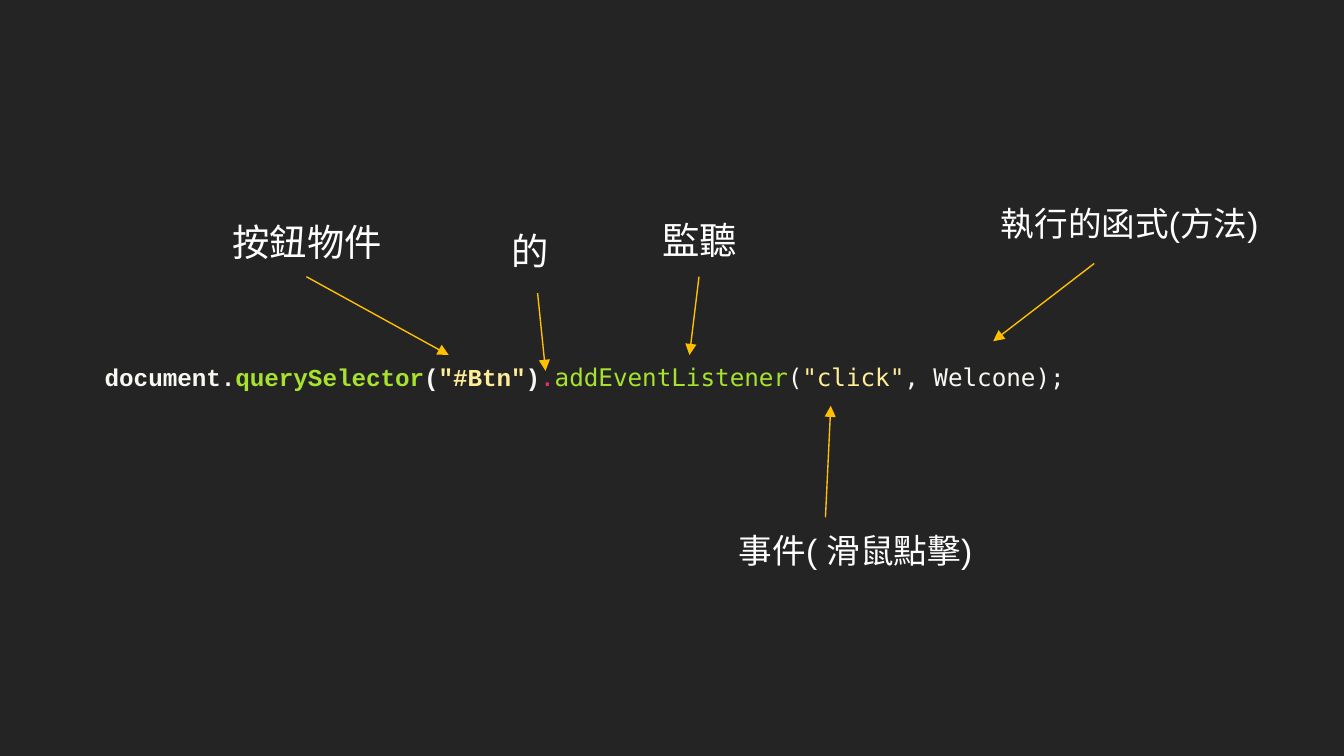
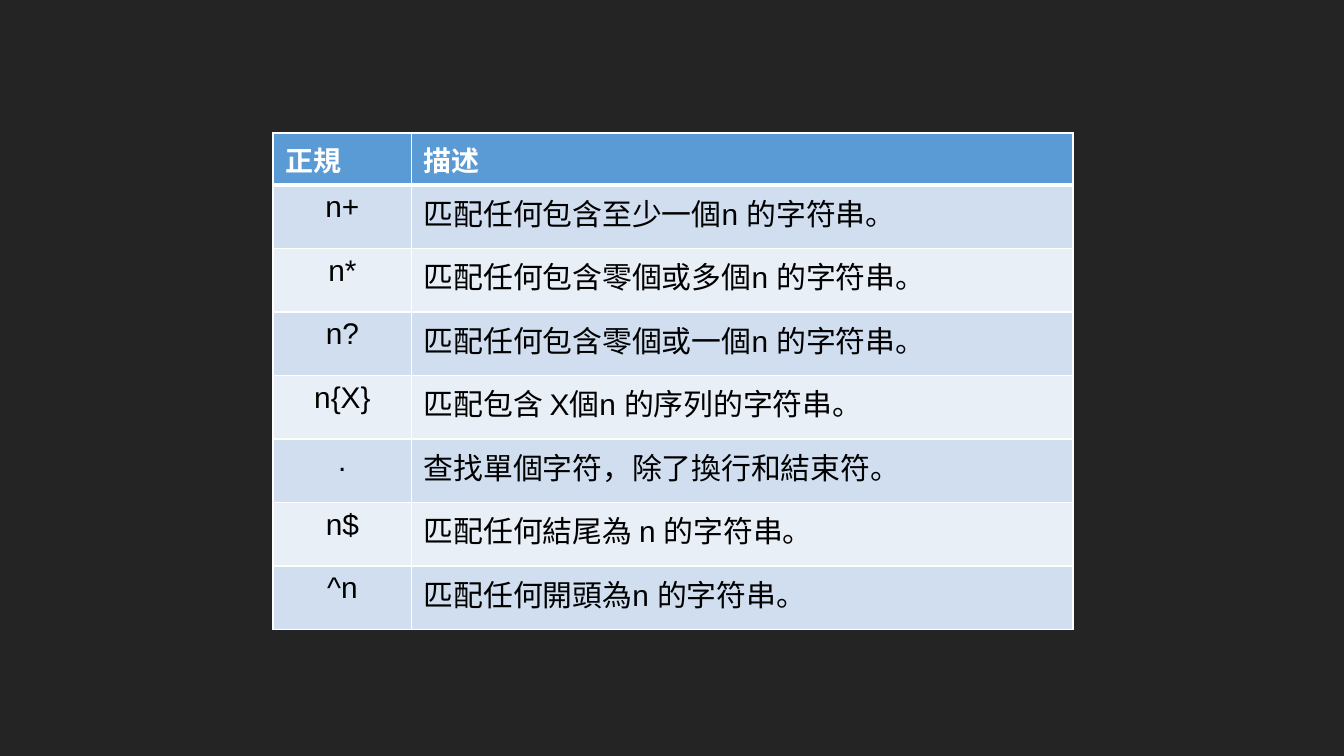
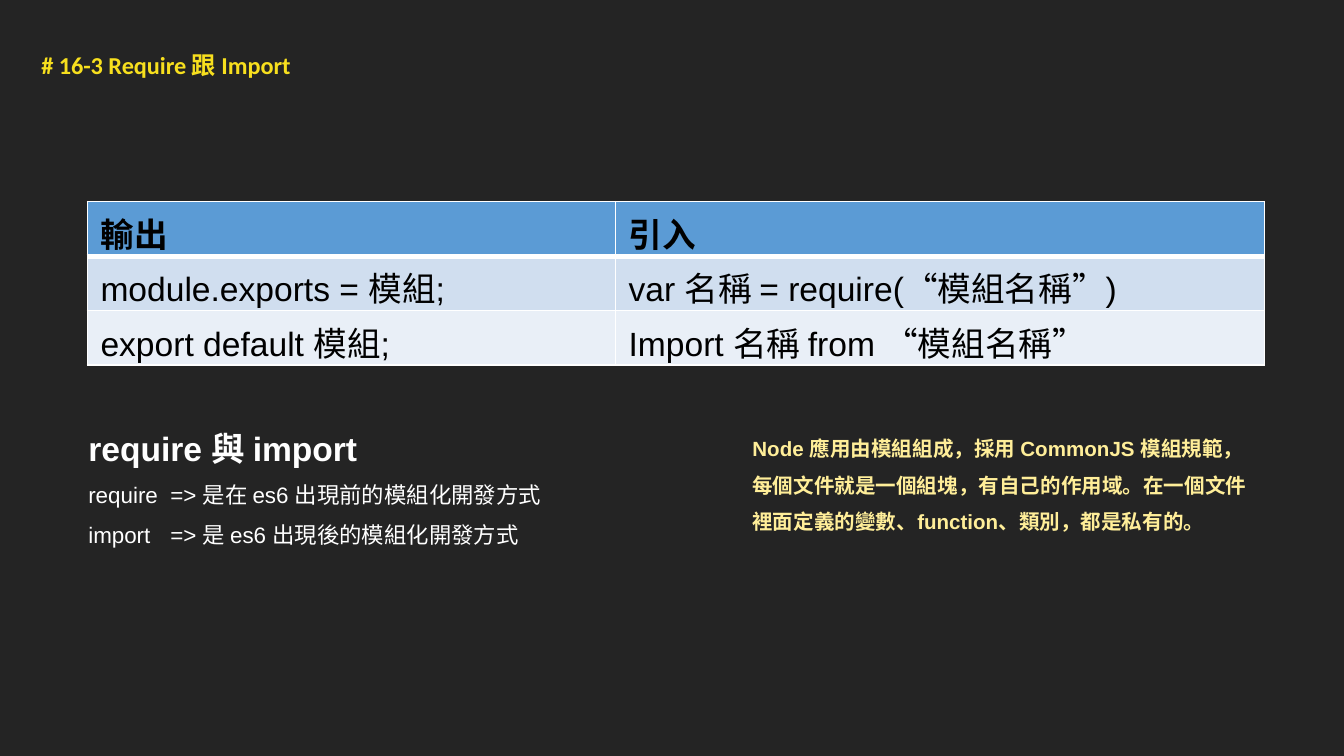
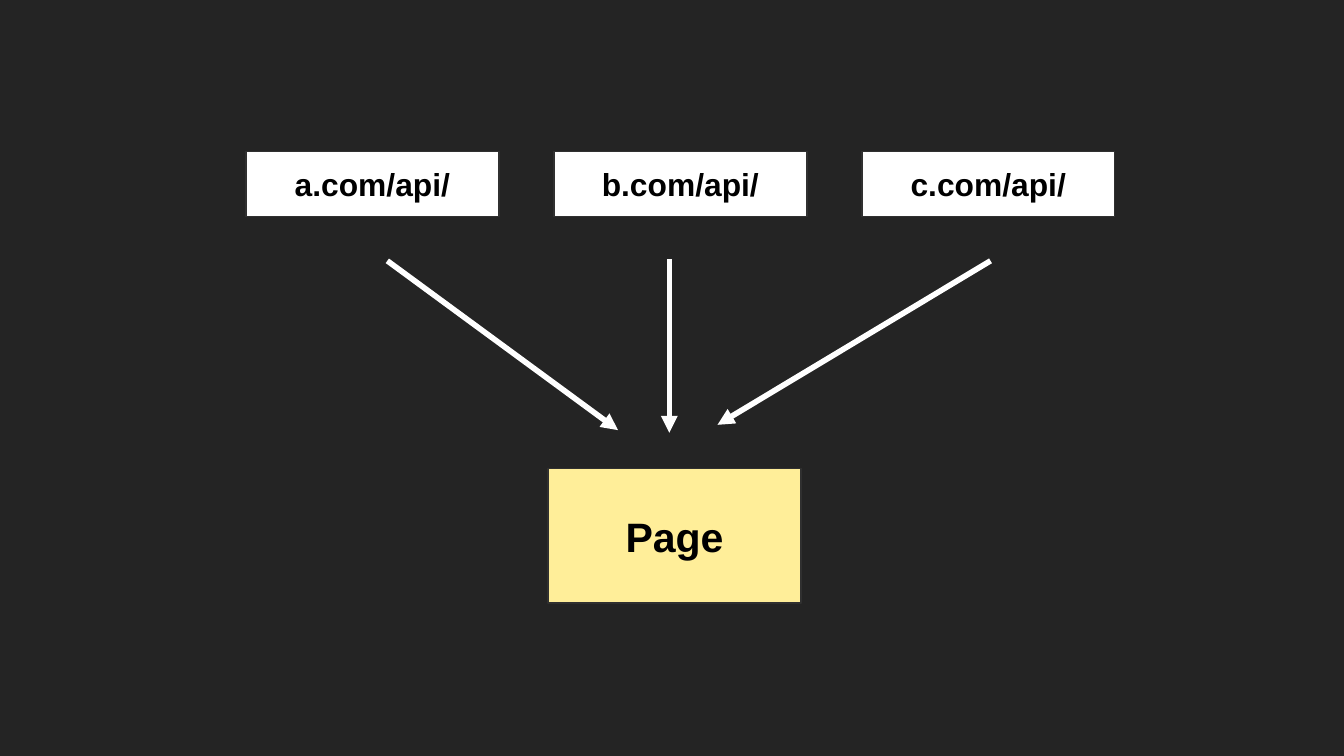
from dataclasses import dataclass
from typing import NamedTuple, Optional

from lxml import etree
from pptx import Presentation
from pptx import util as u
from pptx.dml.color import RGBColor
from pptx.enum import shapes, text
from pptx.oxml import ns

COLORS = {
    "background": "242424",
    "white": "FFFFFF",
    "black": "000000",
    "outline": "303030",
    "title": "F7DF1E",
    "arrow": "FFC000",
    "cream": "FFEE99",
    "code": "F8F8F2",
    "function": "A6E22E",
    "operator": "F92672",
    "header": "5B9BD5",
    "band_dark": "D0DEEF",
    "band_light": "E9EFF7",
}
BLANK, TITLE_ONLY = 6, 5
LEFT, CENTER = text.PP_ALIGN.LEFT, text.PP_ALIGN.CENTER
TOP, MIDDLE = text.MSO_ANCHOR.TOP, text.MSO_ANCHOR.MIDDLE


class Box(NamedTuple):
    """Position and size in centimetres."""
    left: float
    top: float
    width: float
    height: float

    def lengths(self):
        return [u.Cm(value) for value in self]


class Arrow(NamedTuple):
    """End points in centimetres."""
    start_x: float
    start_y: float
    end_x: float
    end_y: float


class CodeToken(NamedTuple):
    text: str
    color: str
    font: str
    bold: bool


@dataclass(frozen=True)
class Style:
    size: float
    color: str = "white"
    bold: bool = False
    font: str = "Arial"
    align: text.PP_ALIGN = LEFT
    spacing: Optional[float] = None


@dataclass(frozen=True)
class Label:
    text: str
    box: Box
    size: float


@dataclass(frozen=True)
class TableSpec:
    left: float
    top: float
    columns: tuple
    row_heights: tuple
    rows: tuple
    margins: tuple
    header: Style
    bodies: tuple


def rgb(name: str) -> RGBColor:
    return RGBColor.from_string(COLORS[name])


def format_run(run, style: Style) -> None:
    font = run.font
    font.size = u.Pt(style.size)
    font.name = style.font
    font.bold = style.bold
    font.color.rgb = rgb(style.color)


def format_paragraph(paragraph, style: Style) -> None:
    paragraph.alignment = style.align
    if style.spacing:
        paragraph.line_spacing = style.spacing
    for run in paragraph.runs:
        format_run(run, style)


def set_frame(text_frame, anchor, horizontal: float = 0.25, vertical: float = 0.13) -> None:
    text_frame.word_wrap = True
    text_frame.auto_size = text.MSO_AUTO_SIZE.NONE
    text_frame.vertical_anchor = anchor
    text_frame.margin_left = text_frame.margin_right = u.Cm(horizontal)
    text_frame.margin_top = text_frame.margin_bottom = u.Cm(vertical)


def add_text(slide, box: Box, content: str, *styles: Style, anchor=TOP):
    """Add a text box whose paragraphs take the styles in order."""
    text_frame = slide.shapes.add_textbox(*box.lengths()).text_frame
    set_frame(text_frame, anchor)
    text_frame.text = content
    for paragraph, style in zip(text_frame.paragraphs, styles):
        format_paragraph(paragraph, style)
    return text_frame


def add_arrow(slide, arrow: Arrow, color: str, width: float) -> None:
    connector = slide.shapes.add_connector(
        shapes.MSO_CONNECTOR.STRAIGHT, *[u.Cm(value) for value in arrow])
    connector.line.color.rgb = rgb(color)
    connector.line.width = u.Pt(width)
    line = connector.line._get_or_add_ln()
    etree.SubElement(line, ns.qn("a:tailEnd"), type="triangle")
    etree.SubElement(connector._element.spPr, ns.qn("a:effectLst"))


def add_block(slide, box: Box, content: str, fill: str, size: float) -> None:
    shape = slide.shapes.add_shape(shapes.MSO_SHAPE.RECTANGLE, *box.lengths())
    shape.shadow.inherit = False
    shape.fill.solid()
    shape.fill.fore_color.rgb = rgb(fill)
    shape.line.color.rgb = rgb("outline")
    shape.line.width = u.Pt(0.75)
    set_frame(shape.text_frame, MIDDLE, vertical=0.25)
    shape.text_frame.text = content
    format_paragraph(shape.text_frame.paragraphs[0],
                     Style(size, "black", True, align=CENTER))


def add_borders(cell, row_index: int) -> None:
    """Draw white edges, with a thick rule between header and body."""
    properties = cell._tc.get_or_add_tcPr()
    thick_edge = {0: "lnB", 1: "lnT"}.get(row_index)
    for edge in ("lnL", "lnR", "lnT", "lnB"):
        width = u.Pt(3 if edge == thick_edge else 1)
        line = etree.SubElement(properties, ns.qn(f"a:{edge}"), w=str(width))
        fill = etree.SubElement(line, ns.qn("a:solidFill"))
        etree.SubElement(fill, ns.qn("a:srgbClr"), val=COLORS["white"])


def add_table(slide, spec: TableSpec) -> None:
    box = Box(spec.left, spec.top, sum(spec.columns), sum(spec.row_heights))
    table = slide.shapes.add_table(
        len(spec.rows), len(spec.columns), *box.lengths()).table
    for column, width in zip(table.columns, spec.columns):
        column.width = u.Cm(width)
    for row_index, (row, height) in enumerate(zip(table.rows, spec.row_heights)):
        row.height = u.Cm(height)
        band = ("band_light", "band_dark")[row_index % 2] if row_index else "header"
        for column_index, cell in enumerate(row.cells):
            cell.margin_left = cell.margin_right = u.Cm(spec.margins[0])
            cell.margin_top = cell.margin_bottom = u.Cm(spec.margins[1])
            add_borders(cell, row_index)
            cell.fill.solid()
            cell.fill.fore_color.rgb = rgb(band)
            cell.text_frame.text = spec.rows[row_index][column_index]
            style = spec.bodies[column_index] if row_index else spec.header
            format_paragraph(cell.text_frame.paragraphs[0], style)


def add_title(slide, content: str) -> None:
    title = slide.shapes.title
    title.left, title.top, title.width, title.height = Box(
        0.53, 0.43, 12.17, 1.07).lengths()
    set_frame(title.text_frame, TOP, vertical=0.25)
    title.text_frame.auto_size = text.MSO_AUTO_SIZE.SHAPE_TO_FIT_TEXT
    title.text_frame.text = content
    format_paragraph(title.text_frame.paragraphs[0],
                     Style(13, "title", True, "Calibri", spacing=1.5))


def add_slide(presentation, layout: int):
    return presentation.slides.add_slide(presentation.slide_layouts[layout])


def build_listener_slide(presentation) -> None:
    slide = add_slide(presentation, BLANK)
    selector, listener = ("Courier New", True), ("DejaVu Sans Mono", False)
    tokens = (
        CodeToken("document.", "code", *selector),
        CodeToken("querySelector", "function", *selector),
        CodeToken("(", "code", *selector),
        CodeToken('"#Btn"', "cream", *selector),
        CodeToken(")", "code", *selector),
        CodeToken(".", "operator", *listener),
        CodeToken("addEventListener", "function", *listener),
        CodeToken("(", "code", *listener),
        CodeToken('"click"', "cream", *listener),
        CodeToken(", Welcone);", "code", *listener),
    )
    code = add_text(slide, Box(1.73, 6.71, 19.33, 0.86), "")
    for token in tokens:
        run = code.paragraphs[0].add_run()
        run.text = token.text
        format_run(run, Style(13, token.color, token.bold, token.font))

    labels = (
        Label("按鈕物件", Box(3.53, 3.96, 4.55, 1.32), 20),
        Label("的", Box(9.25, 4.27, 1.55, 1.04), 20),
        Label("監聽", Box(11.58, 3.73, 3.28, 1.7), 20),
        Label("事件( 滑鼠點擊)", Box(13.54, 9.86, 5.26, 1.19), 18),
        Label("執行的函式(方法)", Box(18.39, 3.71, 5.92, 1.12), 18),
    )
    for label in labels:
        add_text(slide, label.box, label.text,
                 Style(label.size, align=CENTER, spacing=0.9), anchor=MIDDLE)

    for arrow in (
        Arrow(5.79, 5.23, 8.48, 6.71),
        Arrow(10.16, 5.54, 10.31, 7.01),
        Arrow(13.21, 5.23, 13.03, 6.71),
        Arrow(15.6, 9.78, 15.7, 7.67),
        Arrow(20.68, 4.98, 18.77, 6.45),
    ):
        add_arrow(slide, arrow, "arrow", 0.75)


def build_regex_slide(presentation) -> None:
    slide = add_slide(presentation, BLANK)
    rows = (
        ("正規", "描述"),
        ("n+", "匹配任何包含至少一個n 的字符串。"),
        ("n*", "匹配任何包含零個或多個n 的字符串。"),
        ("n?", "匹配任何包含零個或一個n 的字符串。"),
        ("n{X}", "匹配包含 X個n 的序列的字符串。"),
        (".", "查找單個字符，除了換行和結束符。"),
        ("n$", "匹配任何結尾為 n 的字符串。"),
        ("^n", "匹配任何開頭為n 的字符串。"),
    )
    add_table(slide, TableSpec(
        5.16, 2.51, (2.62, 12.5), (0.89,) + (1.2,) * (len(rows) - 1), rows, (0.23, 0.11),
        header=Style(15, bold=True),
        bodies=(Style(16, "black", align=CENTER), Style(16, "black")),
    ))


def build_import_slide(presentation) -> None:
    slide = add_slide(presentation, TITLE_ONLY)
    add_title(slide, "# 16-3 Require 跟 Import")
    add_text(
        slide, Box(13.97, 7.87, 9.86, 1.98),
        "Node 應用由模組組成，採用 CommonJS 模組規範，每個文件就是一個組塊，"
        "有自己的作用域。在一個文件裡面定義的變數、function、類別，都是私有的。",
        Style(11, "cream", True, spacing=1.5))
    rows = (
        ("輸出", "引入"),
        ("module.exports = 模組;", "var 名稱 = require(“模組名稱”)"),
        ("export default 模組;", "Import 名稱 from “模組名稱”"),
    )
    body = Style(18, "black")
    add_table(slide, TableSpec(
        1.65, 3.81, (9.98, 12.27), (1.03,) * len(rows), rows, (0.25, 0.13),
        header=Style(18, "black", True), bodies=(body, body),
    ))
    definition = Style(12, spacing=1.5)
    comparison = add_text(
        slide, Box(1.42, 7.57, 10.41, 2.87),
        "require 與 import\n"
        "require\t=> 是在 es6 出現前的模組化開發方式\n"
        "import\t=> 是 es6 出現後的模組化開發方式",
        Style(18, bold=True, spacing=1.5), definition, definition)
    for paragraph in comparison.paragraphs[1:]:
        tabs = etree.SubElement(paragraph._p.get_or_add_pPr(), ns.qn("a:tabLst"))
        etree.SubElement(tabs, ns.qn("a:tab"), pos=str(u.Cm(1.55)), algn="l")


def build_api_slide(presentation) -> None:
    slide = add_slide(presentation, BLANK)
    add_block(slide, Box(10.36, 8.86, 4.78, 2.54), "Page", "cream", 22)
    for index, host in enumerate("abc"):
        add_block(slide, Box(4.65 + 5.82 * index, 2.87, 4.78, 1.22),
                  f"{host}.com/api/", "white", 17)
    for arrow in (
        Arrow(7.32, 4.93, 11.68, 8.13),
        Arrow(12.65, 4.9, 12.65, 8.18),
        Arrow(18.72, 4.93, 13.56, 8.03),
    ):
        add_arrow(slide, arrow, "white", 3)


def main() -> None:
    presentation = Presentation()
    presentation.slide_width, presentation.slide_height = u.Cm(25.4), u.Cm(14.29)
    background = presentation.slide_master.background.fill
    background.solid()
    background.fore_color.rgb = rgb("background")
    build_listener_slide(presentation)
    build_regex_slide(presentation)
    build_import_slide(presentation)
    build_api_slide(presentation)
    presentation.save("out.pptx")


if __name__ == "__main__":
    main()
